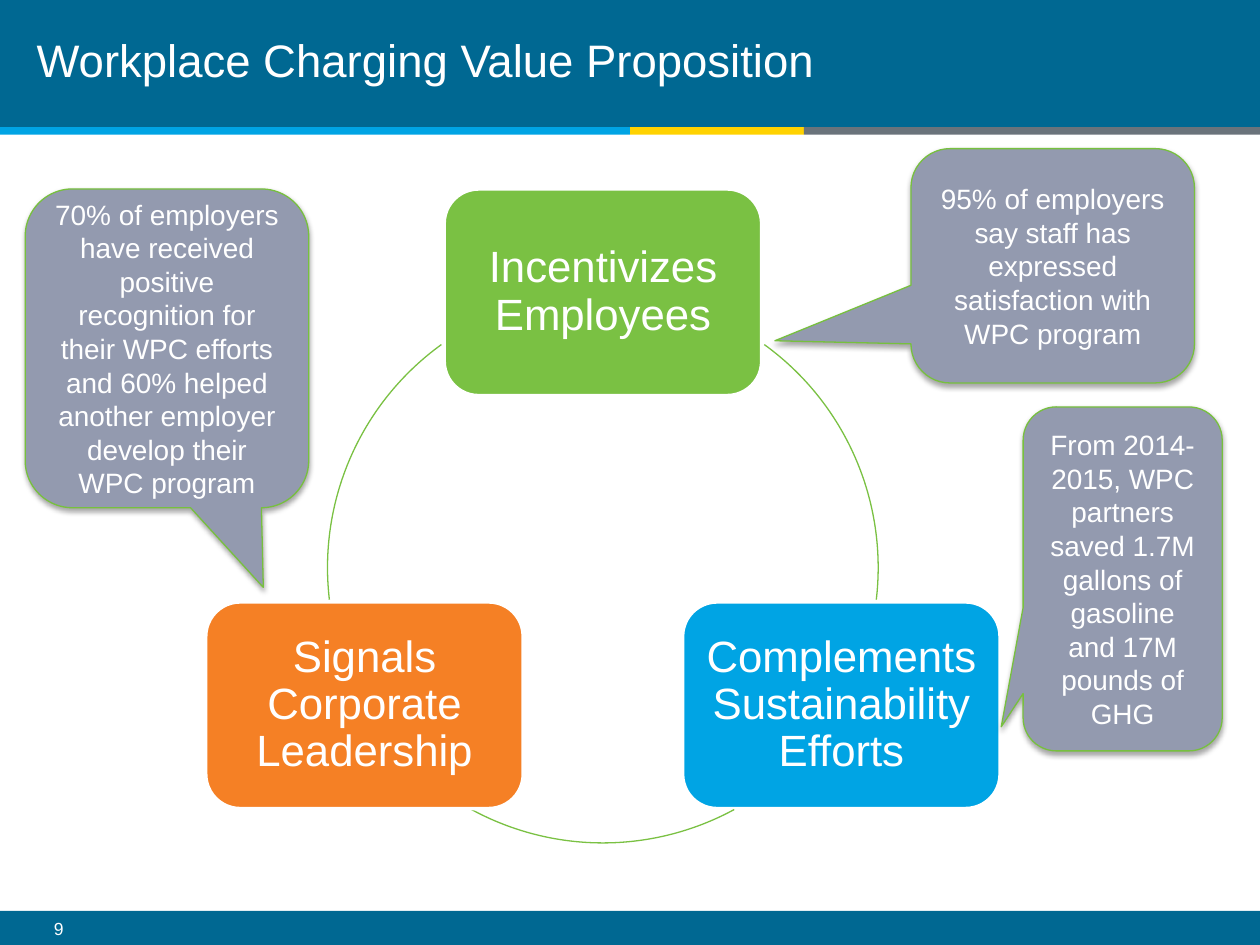
from dataclasses import dataclass
from math import cos, radians, sin

from lxml import etree
from pptx import Presentation
from pptx.dml.color import RGBColor
from pptx.enum.shapes import MSO_SHAPE as Preset
from pptx.enum.text import MSO_ANCHOR as Anchor, MSO_AUTO_SIZE as AutoSize, PP_ALIGN as Align
from pptx.oxml.ns import qn
from pptx.util import Inches, Pt


@dataclass(frozen=True)
class Theme:
    font: str = "Arial"
    white: str = "FFFFFF"
    navy: str = "006892"
    blue: str = "00A4E4"
    yellow: str = "FFD200"
    gray: str = "6A737B"
    green: str = "7AC143"
    orange: str = "F58025"
    callout: str = "939AAF"
    callout_line: str = "77C03E"
    title_size: int = 26
    node_size: int = 25
    callout_size: int = 16
    number_size: int = 10


theme = Theme()
deck = Presentation()
deck.slide_width, deck.slide_height = Inches(10), Inches(7.5)
column, row = deck.slide_width / 100, deck.slide_height / 75
page = deck.slides.add_slide(deck.slide_layouts[5])


def add_box(preset, left, top, width, height, fill=None, line=None, line_width=0.75):
    box = page.shapes.add_shape(
        preset, int(left * column), int(top * row), int(width * column), int(height * row))
    box.shadow.inherit = False
    if fill:
        box.fill.solid()
        box.fill.fore_color.rgb = RGBColor.from_string(fill)
    else:
        box.fill.background()
    if line:
        box.line.color.rgb = RGBColor.from_string(line)
        box.line.width = Pt(line_width)
    else:
        box.line.fill.background()
    return box


def write(box, text, size, align=Align.CENTER, spacing=None, inset=(0.1, 0.05)):
    frame = box.text_frame
    frame.word_wrap = True
    frame.auto_size = AutoSize.NONE
    frame.vertical_anchor = Anchor.MIDDLE
    frame.margin_left = frame.margin_right = Inches(inset[0])
    frame.margin_top = frame.margin_bottom = Inches(inset[1])
    para = frame.paragraphs[0]
    para.alignment = align
    if spacing:
        para.line_spacing = spacing
    span = para.add_run()
    span.text = text
    span.font.name = theme.font
    span.font.size = Pt(size)
    span.font.color.rgb = RGBColor.from_string(theme.white)


bands = [
    (0, 0, 100, 10.1, theme.navy),
    (0, 72.3, 100, 2.7, theme.navy),
    (0, 10.1, 50, 0.6, theme.blue),
    (50, 10.1, 13.8, 0.6, theme.yellow),
    (63.8, 10.1, 36.2, 0.6, theme.gray),
]
for left, top, width, height, color in bands:
    add_box(Preset.RECTANGLE, left, top, width, height, fill=color)

number = page.shapes.add_textbox(
    int(3.3 * column), int(72.4 * row), int(77.8 * column), int(2.6 * row))
write(number, "9", theme.number_size, align=Align.LEFT)

title = page.shapes.title
title.left, title.top = int(1.9 * column), 0
title.width, title.height = int(76.4 * column), int(9.9 * row)
write(title, "Workplace Charging Value Proposition", theme.title_size,
      align=Align.LEFT, spacing=Pt(28))
page.shapes.element.append(title.element)

center_x, center_y, radius = 47.85, 45.05, 21.85
node_width, node_height = 25.2, 16.4
nodes = [
    ("Incentivizes Employees", theme.green, -90, (305.9, 6.7)),
    ("Complements Sustainability Efforts", theme.blue, 30, (61.5, 118.5)),
    ("Signals Corporate Leadership", theme.orange, 150, (173.3, 234.1)),
]
for text, color, angle, arc_angles in nodes:
    node = add_box(
        Preset.ROUNDED_RECTANGLE,
        center_x + radius * cos(radians(angle)) - node_width / 2,
        center_y + radius * sin(radians(angle)) - node_height / 2,
        node_width, node_height, fill=color, line=theme.white, line_width=2)
    write(node, text, theme.node_size, spacing=0.9, inset=(0.1, 0.1))
    arc = add_box(Preset.ARC, center_x - radius, center_y - radius,
                  2 * radius, 2 * radius, line=theme.green)
    for index, degrees in enumerate(arc_angles):
        arc.adjustments[index] = degrees * 60000 / 100000

callouts = [
    ("95% of employers say staff has expressed satisfaction with WPC program",
     (72.3, 11.8, 22.5, 18.6), (-0.98, 0.32)),
    ("70% of employers have received positive recognition for their WPC efforts "
     "and 60% helped another employer develop their WPC program",
     (2, 15, 22.5, 25.3), (0.34, 0.75)),
    ("From 2014-2015, WPC partners saved 1.7M gallons of gasoline and 17M pounds of GHG",
     (81.2, 32.3, 15.8, 27.3), (-0.61, 0.43)),
]
for text, area, tip in callouts:
    callout = add_box(Preset.ROUNDED_RECTANGULAR_CALLOUT, *area,
                      fill=theme.callout, line=theme.callout_line)
    callout.adjustments[0], callout.adjustments[1] = tip
    write(callout, text, theme.callout_size)
    effects = callout.element.spPr.find(qn("a:effectLst"))
    shadow = etree.SubElement(effects, qn("a:outerShdw"), blurRad=str(Pt(3.1)),
                              dist=str(Pt(1.8)), dir="5400000", rotWithShape="0")
    shade = etree.SubElement(shadow, qn("a:srgbClr"), val="000000")
    etree.SubElement(shade, qn("a:alpha"), val="35000")

deck.save("out.pptx")
